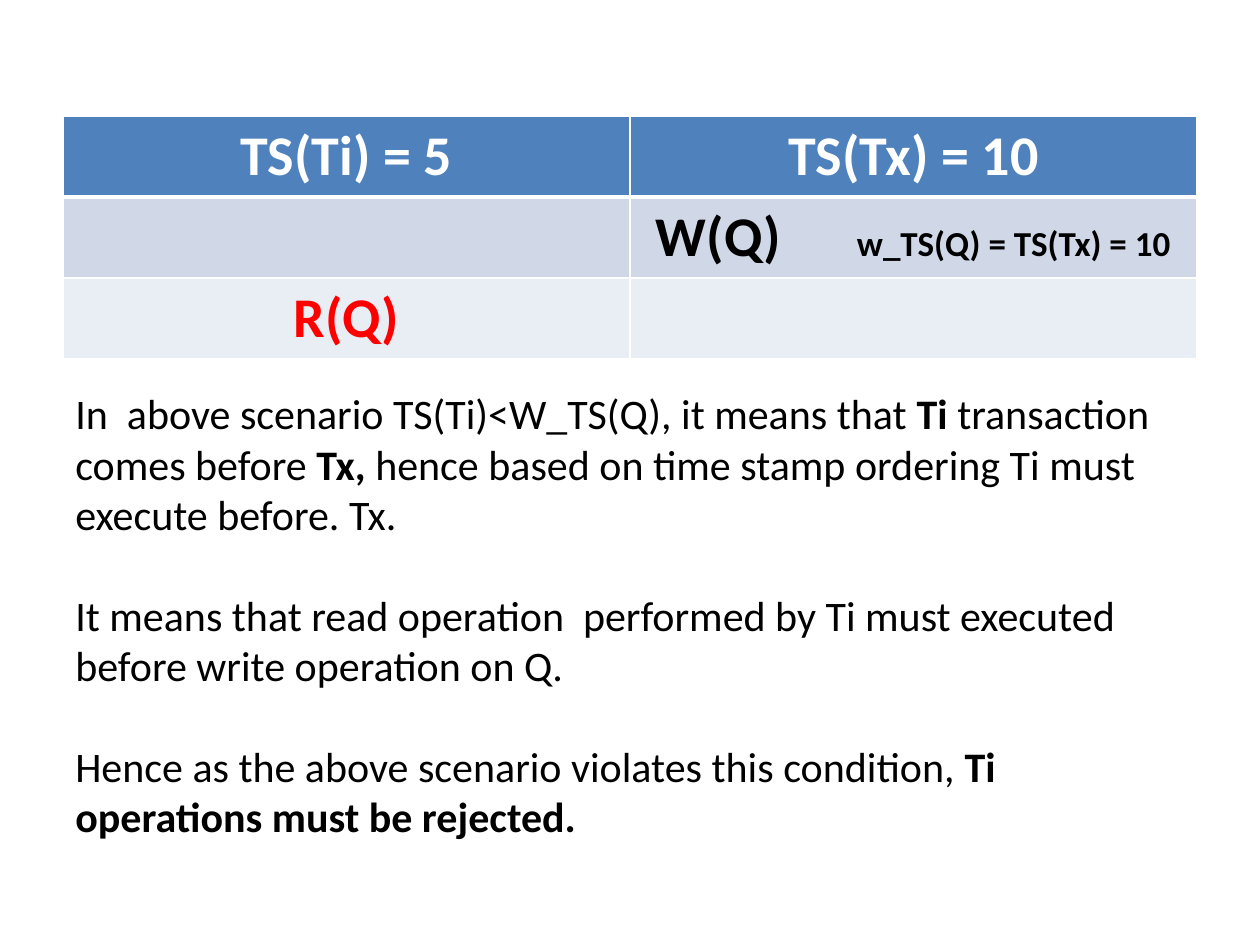
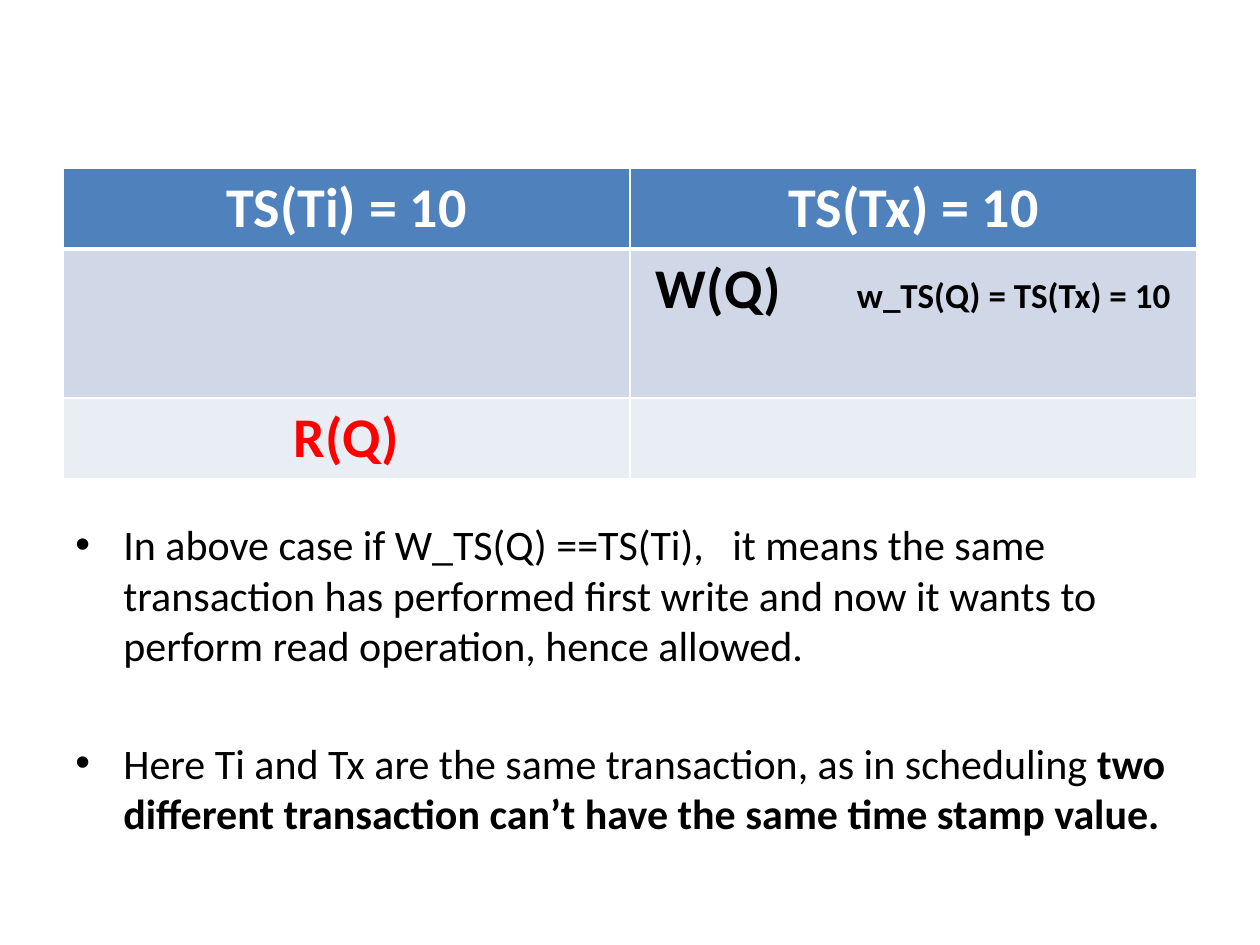
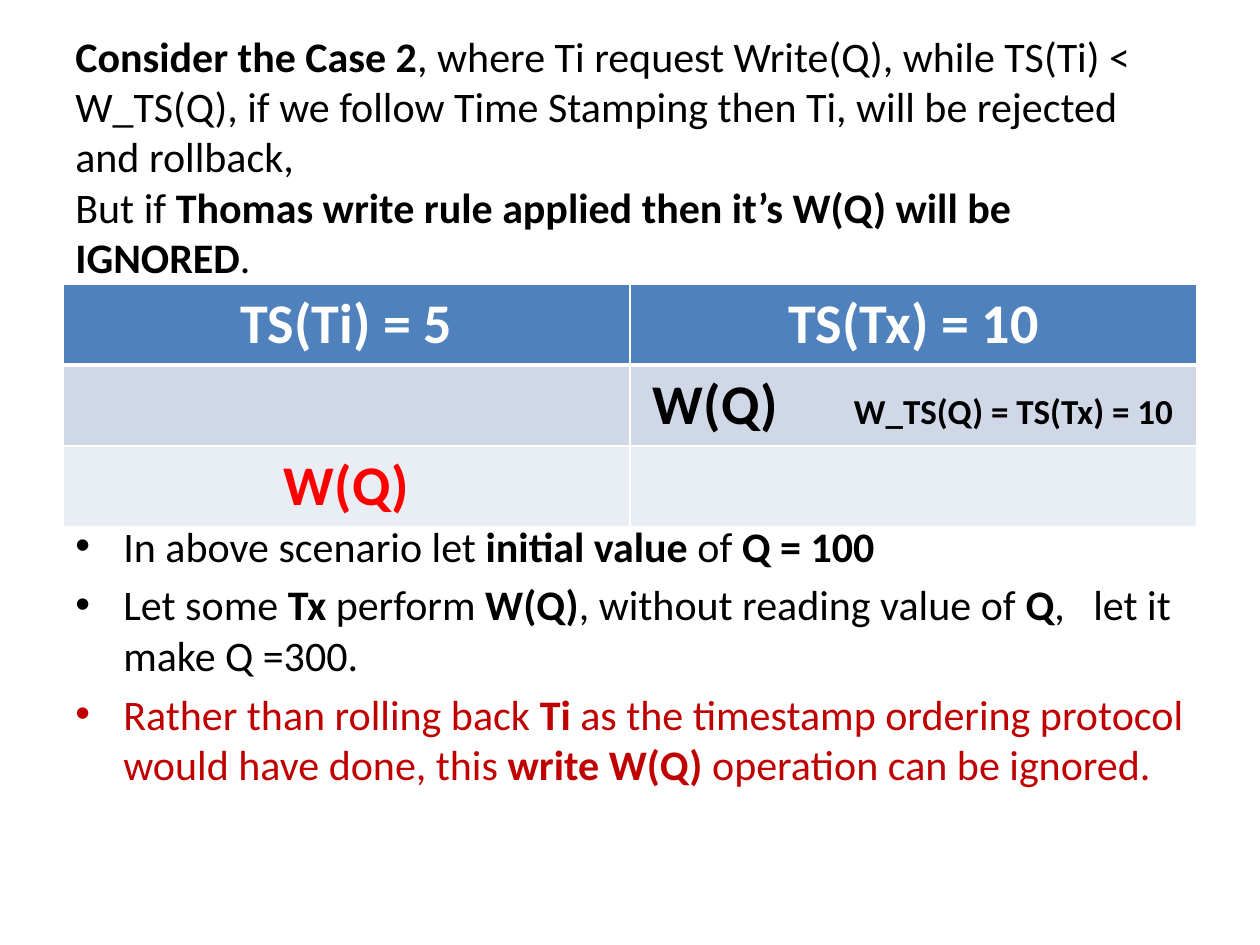
from dataclasses import dataclass

from lxml import etree
from pptx import Presentation
from pptx.dml.color import RGBColor
from pptx.enum.text import MSO_ANCHOR, PP_ALIGN
from pptx.oxml.ns import qn
from pptx.slide import Slide
from pptx.util import Emu, Pt

TOP, MID, LOW = MSO_ANCHOR.TOP, MSO_ANCHOR.MIDDLE, MSO_ANCHOR.BOTTOM
LEFT, CENTER = PP_ALIGN.LEFT, PP_ALIGN.CENTER
SCALE = 914400 // 126
FONT = "Calibri"
BODY, HEAD, NOTE = 24, 32, 20
EDGE, WIDE, ROW = 63, 1134, 81
INDENT, TAB = 48, 201
COLORS = {
    "white": "FFFFFF",
    "black": "000000",
    "head": "4F81BD",
    "dark": "D0D8E8",
    "light": "E9EDF4",
    "red": "FF0000",
    "deep": "C00000",
}


@dataclass
class Para:
    text: str
    gap: float = 0
    bullet: bool = False
    color: str = "black"


@dataclass
class Block:
    top: int
    high: int
    paras: list[Para]
    anchor: MSO_ANCHOR = MID


@dataclass
class Grid:
    top: int
    stamp: str
    note: str
    step: str
    inset: int = 26
    mid: int = ROW


def px(size: int) -> Emu:
    return Emu(size * SCALE)


def rgb(name: str) -> RGBColor:
    return RGBColor.from_string(COLORS[name])


def add_run(para, text: str, size: int, color: str, bold: bool) -> None:
    run = para.add_run()
    run.text = text
    font = run.font
    font.name, font.size, font.bold = FONT, Pt(size), bold
    font.color.rgb = rgb(color)


def add_bullet(para) -> None:
    props = para._p.get_or_add_pPr()
    props.set("marL", str(px(INDENT)))
    props.set("indent", str(-px(INDENT)))
    face = etree.SubElement(props, qn("a:buFont"))
    face.set("typeface", "Arial")
    etree.SubElement(props, qn("a:buChar")).set("char", "•")


def draw_block(slide: Slide, block: Block) -> None:
    box = slide.shapes.add_textbox(px(EDGE), px(block.top), px(WIDE), px(block.high))
    frame = box.text_frame
    frame.word_wrap = True
    frame.vertical_anchor = block.anchor
    for i, item in enumerate(block.paras):
        para = frame.add_paragraph() if i else frame.paragraphs[0]
        para.space_before = Pt(item.gap)
        if item.bullet:
            add_bullet(para)
        for j, part in enumerate(item.text.split("*")):
            if part:
                add_run(para, part, BODY, item.color, j % 2 == 1)


def style_cell(cell, fill: str, base: int) -> None:
    props = cell._tc.get_or_add_tcPr()
    for side, width in (("L", 1), ("R", 1), ("T", 1), ("B", base)):
        line = etree.SubElement(props, qn(f"a:ln{side}"), w=str(Pt(width)))
        paint = etree.SubElement(line, qn("a:solidFill"))
        etree.SubElement(paint, qn("a:srgbClr"), val=COLORS["white"])
    cell.fill.solid()
    cell.fill.fore_color.rgb = rgb(fill)


def fill_cell(cell, text: str, color: str) -> None:
    para = cell.text_frame.paragraphs[0]
    para.alignment = CENTER
    add_run(para, text, HEAD, color, True)


def fill_note(cell, grid: Grid) -> None:
    cell.margin_left, cell.margin_right = px(grid.inset), 0
    para = cell.text_frame.paragraphs[0]
    para.alignment = LEFT
    tabs = etree.SubElement(para._p.get_or_add_pPr(), qn("a:tabLst"))
    etree.SubElement(tabs, qn("a:tab"), pos=str(px(TAB)), algn="l")
    add_run(para, "W(Q)\t", HEAD, "black", True)
    add_run(para, grid.note, NOTE, "black", True)


def draw_grid(slide: Slide, grid: Grid) -> None:
    highs = (ROW, grid.mid, ROW)
    shape = slide.shapes.add_table(
        3, 2, px(EDGE), px(grid.top), px(WIDE), px(sum(highs))
    )
    table = shape.table
    for i, (high, fill) in enumerate(zip(highs, ("head", "dark", "light"))):
        table.rows[i].height = px(high)
        for j in range(2):
            style_cell(table.cell(i, j), fill, 1 if i else 3)
    fill_cell(table.cell(0, 0), grid.stamp, "white")
    fill_cell(table.cell(0, 1), "TS(Tx) = 10", "white")
    fill_note(table.cell(1, 1), grid)
    fill_cell(table.cell(2, 0), grid.step, "red")


LOWER = "w_TS(Q) = TS(Tx) = 10"
UPPER = "W_TS(Q) = TS(Tx) = 10"
LINE, STEP = 28.8, 4.8

DECK: list[list[Block | Grid]] = [
    [
        Block(536, 157, [
            Para("In  above scenario TS(Ti)<W_TS(Q), it means that *Ti *transaction "
                 "comes before *Tx, *hence based on time stamp ordering Ti must  "
                 "execute before. Tx."),
            Para("It means that read operation  performed by Ti must executed "
                 "before write operation on Q.", LINE),
            Para("Hence as the above scenario violates this condition, "
                 "*Ti operations must be rejected.*", LINE),
        ]),
        Grid(116, "TS(Ti) = 5", LOWER, "R(Q)"),
    ],
    [
        Block(220, 624, [
            Para("In above case if W_TS(Q) ==TS(Ti),   it means the same transaction "
                 "has performed first write and now it wants to perform read "
                 "operation, hence allowed.", STEP, True),
            Para("Here Ti and Tx are the same transaction, as in scheduling *two "
                 "different transaction can’t have the same time stamp value.*",
                 LINE + 2 * STEP, True),
        ], LOW),
        Grid(168, "TS(Ti) = 10", LOWER, "R(Q)", mid=149),
    ],
    [
        Block(38, 236, [
            Para("*Consider the Case 2*, where Ti request Write(Q), while TS(Ti) < "
                 "W_TS(Q), if we follow Time Stamping then Ti, will be rejected "
                 "and rollback,"),
            Para("But if *Thomas write rule applied then it’s W(Q) will be IGNORED*."),
        ]),
        Grid(284, "TS(Ti) = 5", UPPER, "W(Q)", inset=23),
        Block(514, 410, [
            Para("In above scenario let *initial value* of *Q = 100*", STEP, True),
            Para("Let some *Tx* perform *W(Q)*, without reading value of *Q*,   "
                 "let it make Q =300.", STEP, True),
            Para("Rather than rolling back *Ti* as the timestamp ordering protocol "
                 "would have done, this *write W(Q)* operation can be ignored.",
                 STEP, True, "deep"),
        ], TOP),
    ],
]


def main() -> None:
    deck = Presentation()
    deck.slide_width, deck.slide_height = px(1260), px(945)
    for items in DECK:
        slide = deck.slides.add_slide(deck.slide_layouts[6])
        for item in items:
            if isinstance(item, Grid):
                draw_grid(slide, item)
            else:
                draw_block(slide, item)
    deck.save("out.pptx")


main()
